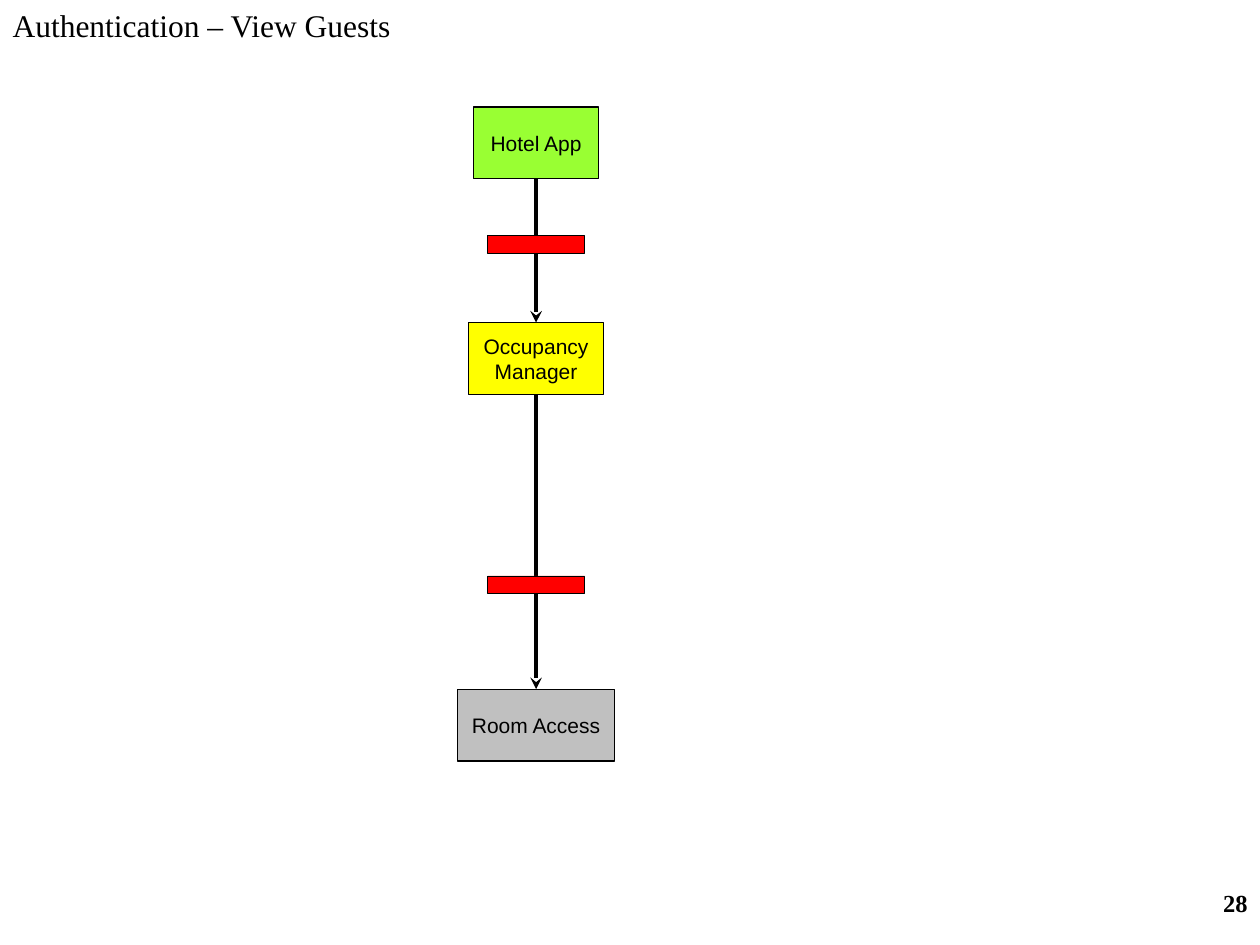
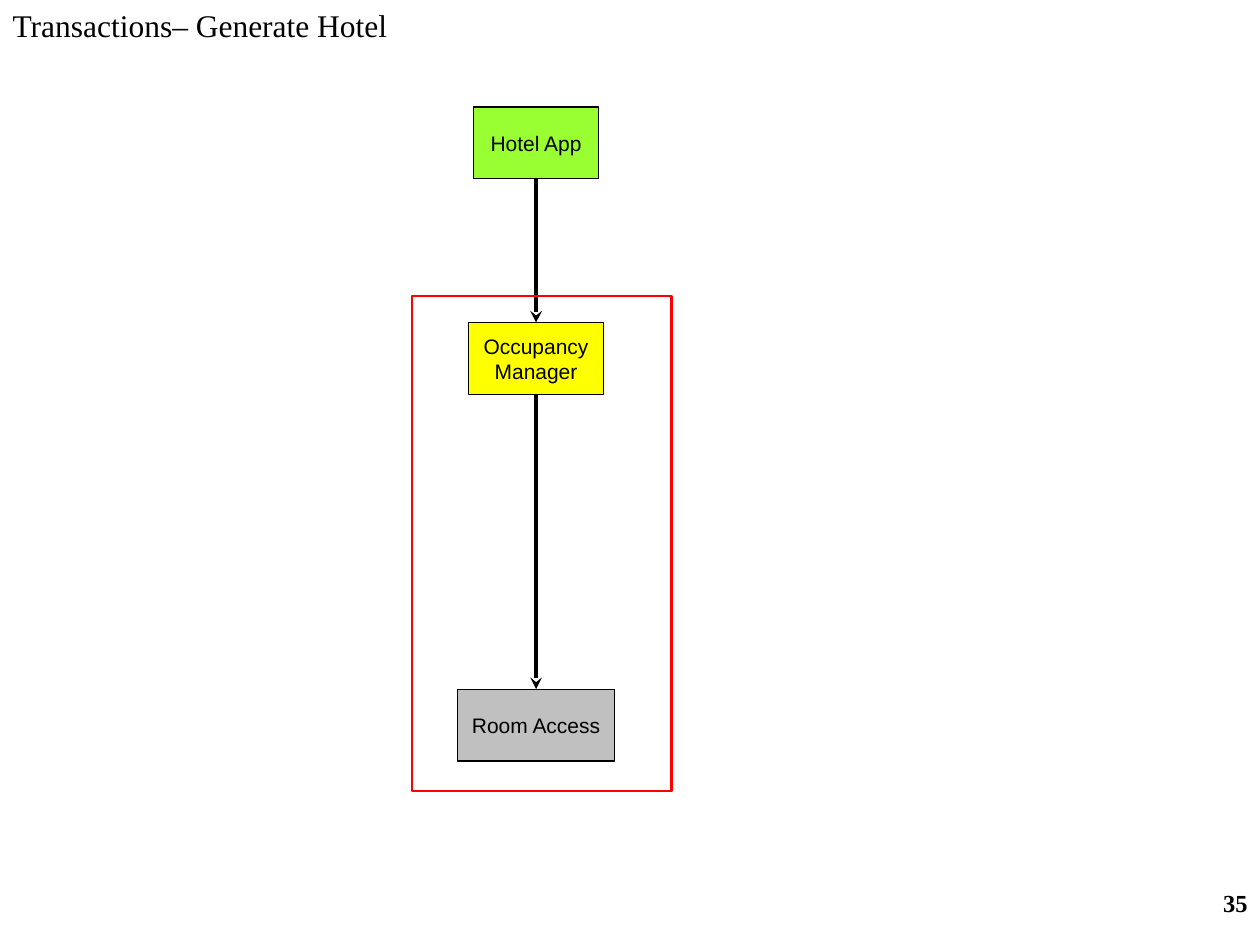
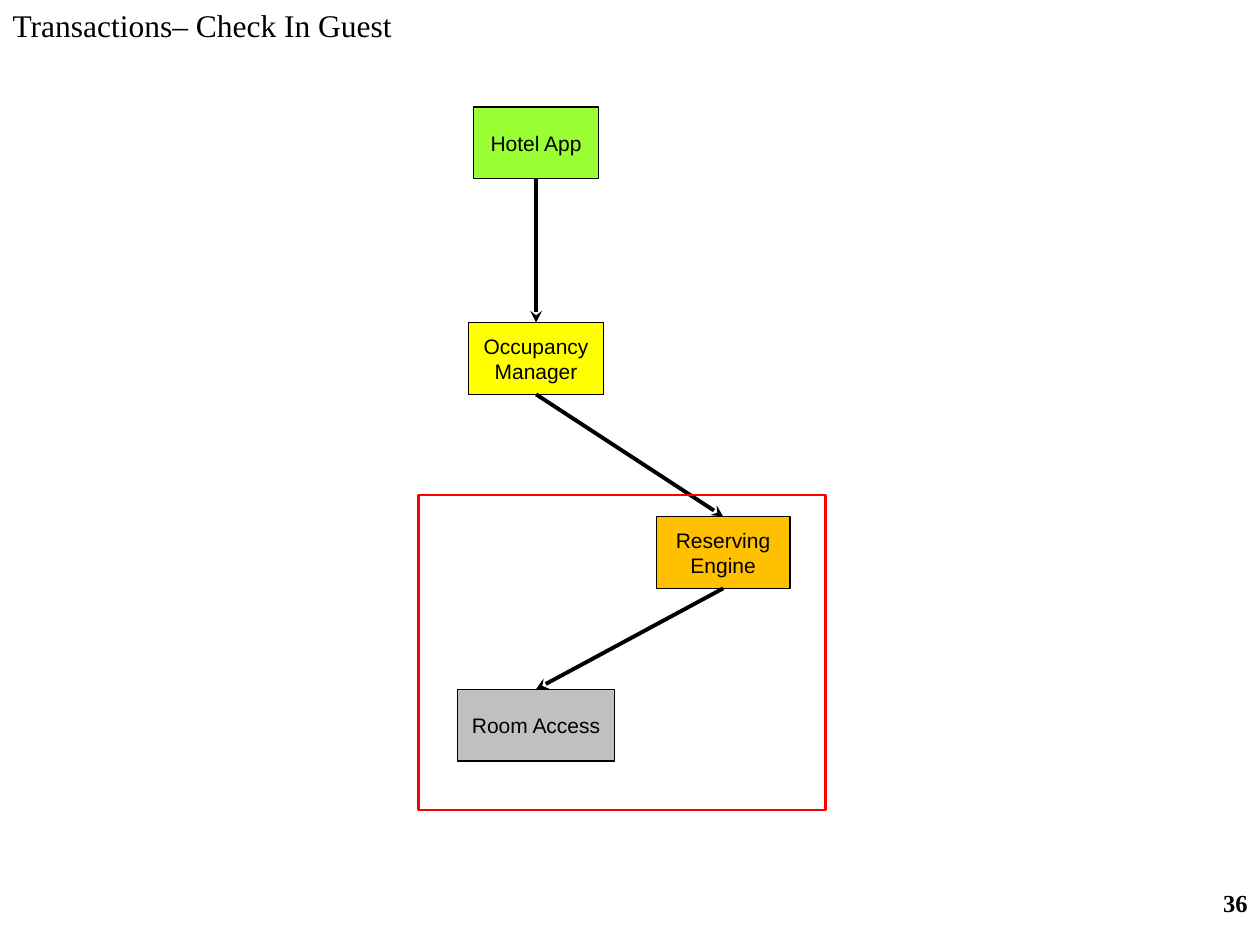
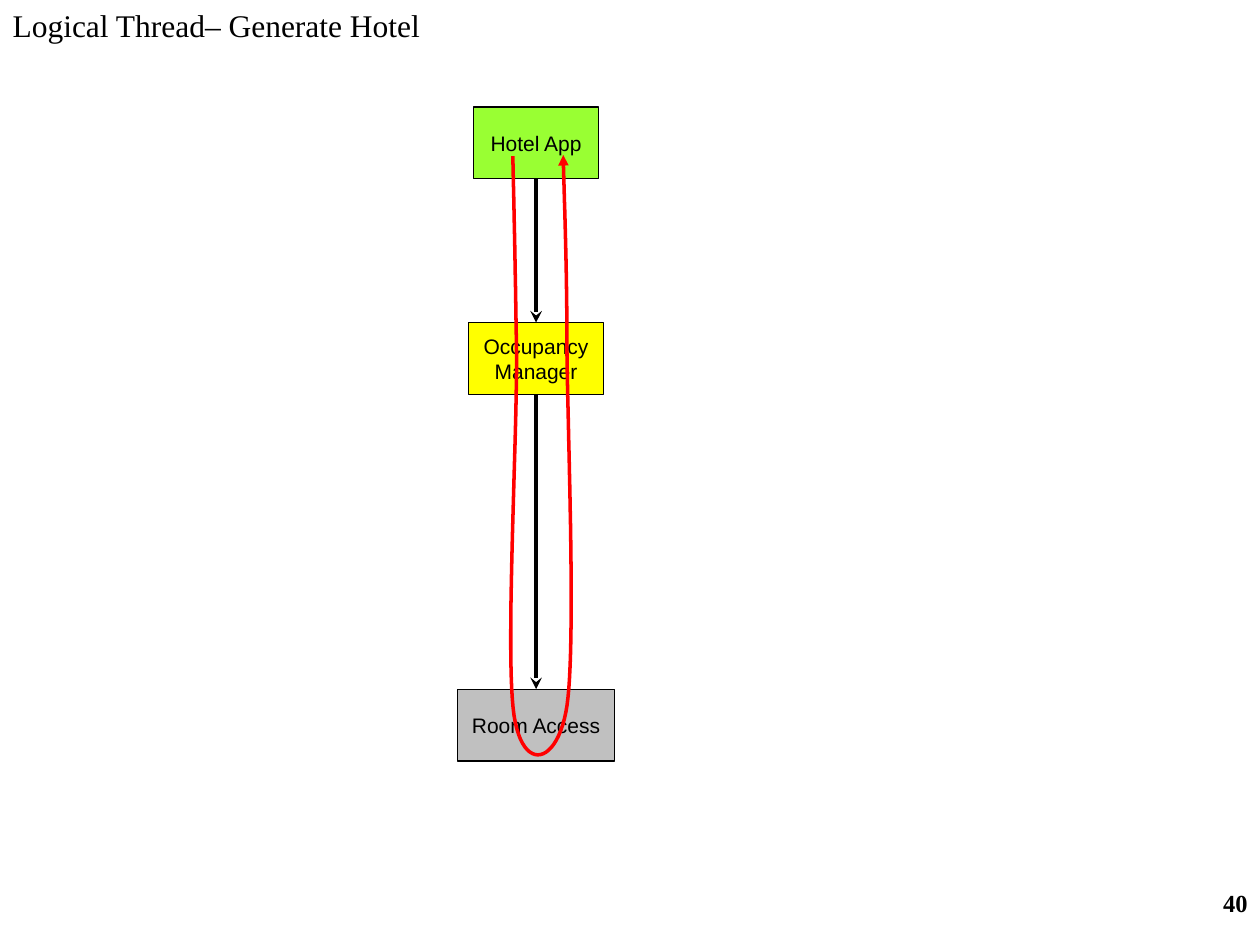
import pptx
import pptx.util
import pptx.dml.color
import pptx.enum.shapes
import pptx.enum.text
import pptx.oxml
import pptx.oxml.ns

Inches = pptx.util.Inches
Pt = pptx.util.Pt
ALIGN = pptx.enum.text.PP_ALIGN
ANCHOR = pptx.enum.text.MSO_ANCHOR
FIT = pptx.enum.text.MSO_AUTO_SIZE
RECT = pptx.enum.shapes.MSO_SHAPE.RECTANGLE
LINE = pptx.enum.shapes.MSO_CONNECTOR.STRAIGHT

HUES = {
    "ink": "000000",
    "app": "99FF33",
    "manager": "FFFF00",
    "engine": "FFC000",
    "access": "C0C0C0",
    "alert": "FF0000",
}
SERIF = "Times New Roman"
SANS = "Arial"

# Component boxes: text, fill, left, top, width
BOXES = {
    "app": ("Hotel App", "app", 3.76, 0.85, 0.99),
    "manager": ("Occupancy\nManager", "manager", 3.72, 2.56, 1.07),
    "engine": ("Reserving\nEngine", "engine", 5.21, 4.1, 1.06),
    "access": ("Room Access", "access", 3.63, 5.47, 1.25),
}
TALL = 0.57
DIRECT = ["app", "manager", "access"]
RESERVE = ["app", "manager", "engine", "access"]

# Call thread: start point, then control, control, end of each curve
START = (4.07, 1.24)
CURVES = [
    ((4.08, 1.68), (4.09, 2.12), (4.1, 2.85)),
    ((4.1, 3.59), (4.01, 5.22), (4.08, 5.68)),
    ((4.15, 6.14), (4.43, 6.07), (4.5, 5.6)),
    ((4.57, 5.12), (4.51, 3.55), (4.5, 2.82)),
    ((4.5, 2.09), (4.48, 1.66), (4.47, 1.23)),
]
STEPS = 24


def tint(name):
    return pptx.dml.color.RGBColor.from_string(HUES[name])


def style(frame, font, size, align, bold=False):
    frame.margin_left = frame.margin_right = Inches(0.1)
    frame.margin_top = frame.margin_bottom = Inches(0.05)
    for para in frame.paragraphs:
        para.alignment = align
        for run in para.runs:
            run.font.name = font
            run.font.size = Pt(size)
            run.font.bold = bold
            run.font.color.rgb = tint("ink")


def stroke(shape, hue, width):
    shape.line.color.rgb = tint(hue)
    shape.line.width = Pt(width)


def add_head(shape, kind):
    ln = shape.element.spPr.find(pptx.oxml.ns.qn("a:ln"))
    space = pptx.oxml.ns.nsdecls("a")
    ln.append(pptx.oxml.parse_xml(f'<a:tailEnd {space} type="{kind}"/>'))


def add_page(deck, title, number):
    slide = deck.slides.add_slide(deck.slide_layouts[5])
    head = slide.shapes.title
    head.left, head.top = Inches(0), Inches(0)
    head.width, head.height = Inches(7.35), Inches(0.4)
    frame = head.text_frame
    frame.text = title
    frame.vertical_anchor = ANCHOR.TOP
    frame.auto_size = FIT.SHAPE_TO_FIT_TEXT
    style(frame, SERIF, 18, ALIGN.LEFT)

    foot = slide.shapes.add_textbox(
        Inches(7.92), Inches(7), Inches(2.08), Inches(0.5))
    foot.text_frame.word_wrap = True
    foot.text_frame.text = str(number)
    style(foot.text_frame, SERIF, 14, ALIGN.RIGHT, bold=True)
    return slide


def add_rect(slide, left, top, width, height, fill=None, edge="ink", weight=0.75):
    rect = slide.shapes.add_shape(
        RECT, Inches(left), Inches(top), Inches(width), Inches(height))
    rect.shadow.inherit = False
    if fill:
        rect.fill.solid()
        rect.fill.fore_color.rgb = tint(fill)
    else:
        rect.fill.background()
    stroke(rect, edge, weight)
    return rect


def add_box(slide, name):
    text, fill, left, top, width = BOXES[name]
    box = add_rect(slide, left, top, width, TALL, fill)
    frame = box.text_frame
    frame.text = text
    frame.word_wrap = False
    frame.vertical_anchor = ANCHOR.MIDDLE
    style(frame, SANS, 12, ALIGN.CENTER)
    return box


def add_arrow(slide, upper, lower):
    arrow = slide.shapes.add_connector(LINE, 0, 0, 0, 0)
    arrow.begin_connect(upper, 2)
    arrow.end_connect(lower, 0)
    stroke(arrow, "ink", 2.25)
    add_head(arrow, "stealth")
    space = pptx.oxml.ns.nsdecls("a")
    arrow.element.spPr.append(pptx.oxml.parse_xml(f"<a:effectLst {space}/>"))


def add_chain(slide, names):
    boxes = [add_box(slide, name) for name in names]
    for upper, lower in zip(boxes, boxes[1:]):
        add_arrow(slide, upper, lower)


def add_bar(slide, top):
    add_rect(slide, 3.87, top, 0.77, 0.14, "alert", weight=0.25)


def add_frame(slide, left, top, width, height):
    add_rect(slide, left, top, width, height, edge="alert", weight=1.5)


def bezier(points, t):
    """Point at t on the cubic curve through four control points."""
    u = 1 - t
    parts = (u ** 3, 3 * u * u * t, 3 * u * t * t, t ** 3)
    return tuple(
        Inches(sum(part * point[axis] for part, point in zip(parts, points)))
        for axis in (0, 1))


def add_thread(slide):
    dots = []
    last = START
    for curve in CURVES:
        points = (last, *curve)
        dots += [bezier(points, i / STEPS) for i in range(1, STEPS + 1)]
        last = curve[-1]
    pen = slide.shapes.build_freeform(Inches(START[0]), Inches(START[1]))
    pen.add_line_segments(dots, close=False)
    thread = pen.convert_to_shape()
    thread.shadow.inherit = False
    thread.fill.background()
    stroke(thread, "alert", 2)
    add_head(thread, "triangle")


def main():
    deck = pptx.Presentation()
    deck.slide_width, deck.slide_height = Inches(10), Inches(7.5)

    # Authentication checks on each call
    slide = add_page(deck, "Authentication – View Guests", 28)
    add_chain(slide, DIRECT)
    for top in (1.87, 4.57):
        add_bar(slide, top)

    # Transaction scopes
    slide = add_page(deck, "Transactions– Generate Hotel", 35)
    add_chain(slide, DIRECT)
    add_frame(slide, 3.27, 2.35, 2.06, 3.93)

    slide = add_page(deck, "Transactions– Check In Guest", 36)
    add_chain(slide, RESERVE)
    add_frame(slide, 3.32, 3.93, 3.23, 2.5)

    # Logical thread down and back
    slide = add_page(deck, "Logical Thread– Generate Hotel", 40)
    add_chain(slide, DIRECT)
    add_thread(slide)

    deck.save("out.pptx")


if __name__ == "__main__":
    main()
